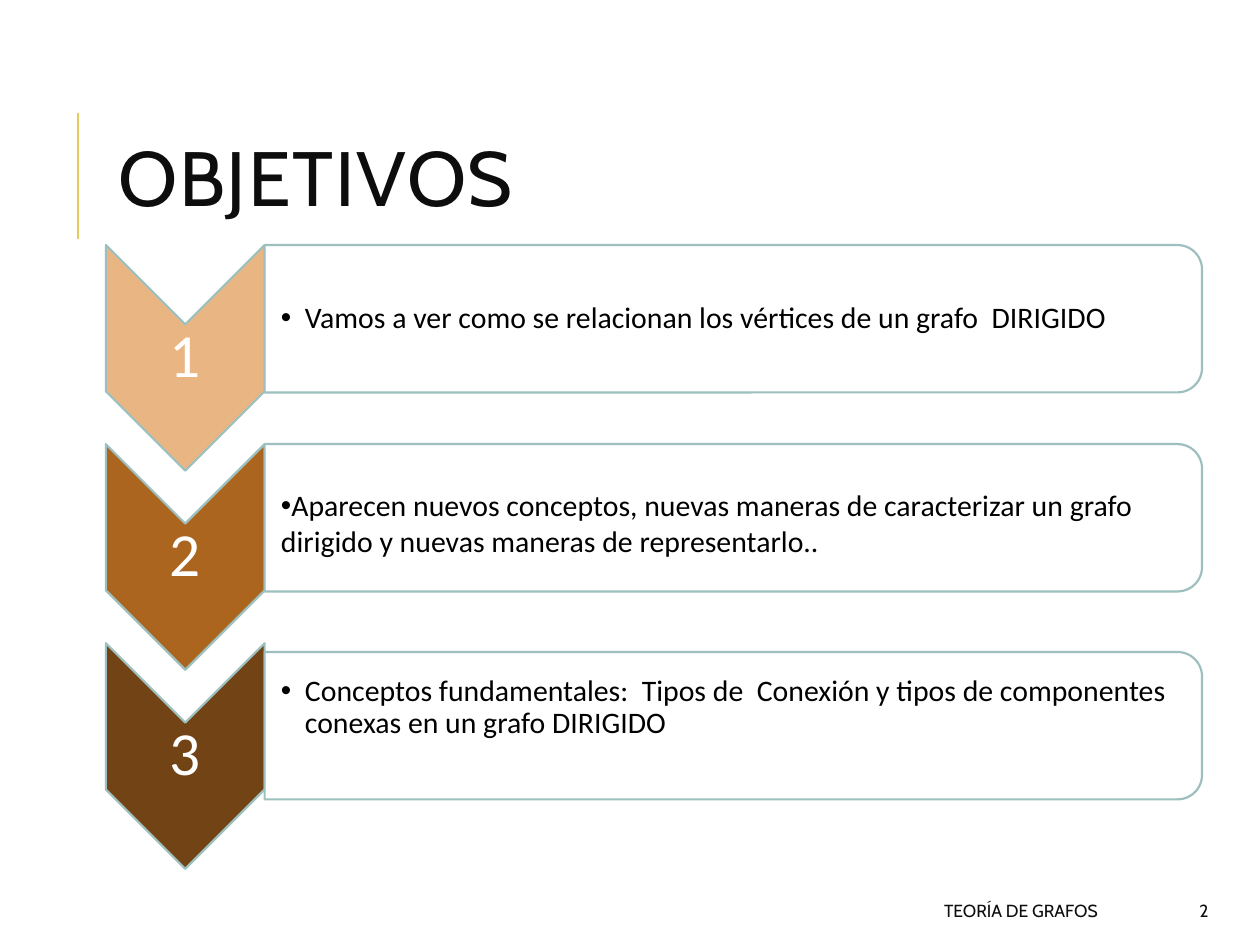
from dataclasses import dataclass

from lxml.etree import SubElement
from pptx import Presentation
from pptx.dml.color import RGBColor
from pptx.enum.shapes import MSO_CONNECTOR as Connector, MSO_SHAPE as Shape
from pptx.enum.text import MSO_ANCHOR as Anchor, MSO_AUTO_SIZE as AutoSize, PP_ALIGN as Align
from pptx.oxml.ns import qn
from pptx.util import Inches, Pt

INK, BLACK, WHITE = "0D0D0D", "000000", "FFFFFF"
EDGE, ACCENT = "9DBFBE", "E3CC5A"
FIRST_ROW, ROW_PITCH = 2.21, 1.58
CHEVRON_LEFT, CHEVRON_W, CHEVRON_H = 0.84, 1.26, 1.79
PANEL_LEFT, PANEL_W, PANEL_H = 2.1, 7.44, 1.17


@dataclass(frozen=True)
class Goal:
    """One numbered goal; drop and shift offset its panel and text in inches."""
    text: str
    fill: str
    hang: float = 0.19
    spacing: float = 0.9
    drop: float = 0
    shift: float = 0


GOALS = (
    Goal("Vamos a ver como se relacionan los vértices de un grafo  DIRIGIDO", "E9B683",
         drop=-0.27),
    Goal("Aparecen nuevos conceptos, nuevas maneras de caracterizar un grafo "
         "dirigido y nuevas maneras de representarlo..", "AB651E",
         hang=0, spacing=1, drop=-0.27, shift=0.04),
    Goal("Conceptos fundamentales:  Tipos de  Conexión y tipos de componentes "
         "conexas en un grafo DIRIGIDO", "724314", drop=-0.2, shift=-0.14),
)


def rgb(value: str) -> RGBColor:
    return RGBColor.from_string(value)


def write(sp, text: str, size: float, font: str, color: str, align=Align.LEFT,
          spacing: float = 1, insets=(0.1, 0.05, 0.1, 0.05)):
    tf = sp.text_frame
    tf.word_wrap = True
    tf.auto_size = AutoSize.NONE
    tf.vertical_anchor = Anchor.MIDDLE
    tf.margin_left, tf.margin_top, tf.margin_right, tf.margin_bottom = map(Inches, insets)
    p = tf.paragraphs[0]
    p.alignment, p.line_spacing = align, spacing
    r = p.add_run()
    r.text = text
    r.font.size, r.font.name = Pt(size), font
    r.font.color.rgb = rgb(color)
    return p


def add_text(s, box: tuple, *args, **kwargs):
    return write(s.shapes.add_textbox(*map(Inches, box)), *args, **kwargs)


def add_turned(s, kind, left: float, top: float, width: float, height: float, fill: str):
    """Add a quarter-turned shape whose visible bounds are the given box."""
    x, y = left + (width - height) / 2, top + (height - width) / 2
    sp = s.shapes.add_shape(kind, *map(Inches, (x, y, height, width)))
    sp.rotation = 90
    sp.shadow.inherit = False
    sp.fill.solid()
    sp.fill.fore_color.rgb = rgb(fill)
    sp.line.color.rgb = rgb(EDGE)
    sp.line.width = Pt(1.25)
    return sp


def add_bullet(p, hang: float) -> None:
    pPr = p._p.get_or_add_pPr()
    pPr.set("marL", str(Inches(hang)))
    pPr.set("indent", str(-Inches(hang)))
    SubElement(pPr, qn("a:buFont")).set("typeface", "Arial")
    SubElement(pPr, qn("a:buChar")).set("char", "•")


def add_goal(s, row: int, goal: Goal) -> None:
    top = FIRST_ROW + row * ROW_PITCH - (CHEVRON_H - CHEVRON_W) / 2
    add_turned(s, Shape.CHEVRON, CHEVRON_LEFT, top + 0.0, CHEVRON_W, CHEVRON_H, goal.fill)
    add_text(s, (CHEVRON_LEFT, top + 0.62, CHEVRON_W, 0.54), str(row + 1), 35, "Calibri",
             WHITE, Align.CENTER, 0.9, (0.02,) * 4)
    panel_top = top + 0.27 + goal.drop
    panel = add_turned(s, Shape.ROUND_2_SAME_RECTANGLE, PANEL_LEFT, panel_top,
                       PANEL_W, PANEL_H, WHITE)
    color = panel.fill._xPr.find(qn("a:solidFill"))[0]
    SubElement(color, qn("a:alpha")).set("val", "90000")
    p = add_text(s, (PANEL_LEFT, panel_top + 0.06 + goal.shift, 7.38, 1.05), goal.text, 17,
                 "Calibri", BLACK, spacing=goal.spacing, insets=(0.13, 0.01, 0.01, 0.01))
    add_bullet(p, goal.hang)


def add_rule(s) -> None:
    line = s.shapes.add_connector(Connector.STRAIGHT, *map(Inches, (0.62, 1.9, 0.62, 0.9)))
    line.line.color.rgb = rgb(ACCENT)
    line.line.width = Pt(1.5)
    SubElement(line._element.spPr, qn("a:effectLst"))


def add_title(s) -> None:
    title = s.shapes.title
    title.left, title.top, title.width, title.height = map(Inches, (0.84, 0.64, 7.97, 1.64))
    p = write(title, "OBJETIVOS", 44, "Cabin", INK, spacing=0.8)
    p.runs[0].font._element.set("spc", "100")


def main() -> None:
    prs = Presentation()
    prs.slide_width, prs.slide_height = Inches(10), Inches(7.5)
    s = prs.slides.add_slide(prs.slide_layouts[5])
    add_rule(s)
    add_title(s)
    for row, goal in enumerate(GOALS):
        add_goal(s, row, goal)
    for left, width, text in ((3.97, 4.84, "TEORÍA DE GRAFOS"), (8.89, 0.8, "2")):
        add_text(s, (left, 7.08, width, 0.3), text, 10, "Cabin", INK, Align.RIGHT)
    prs.save("out.pptx")


main()
